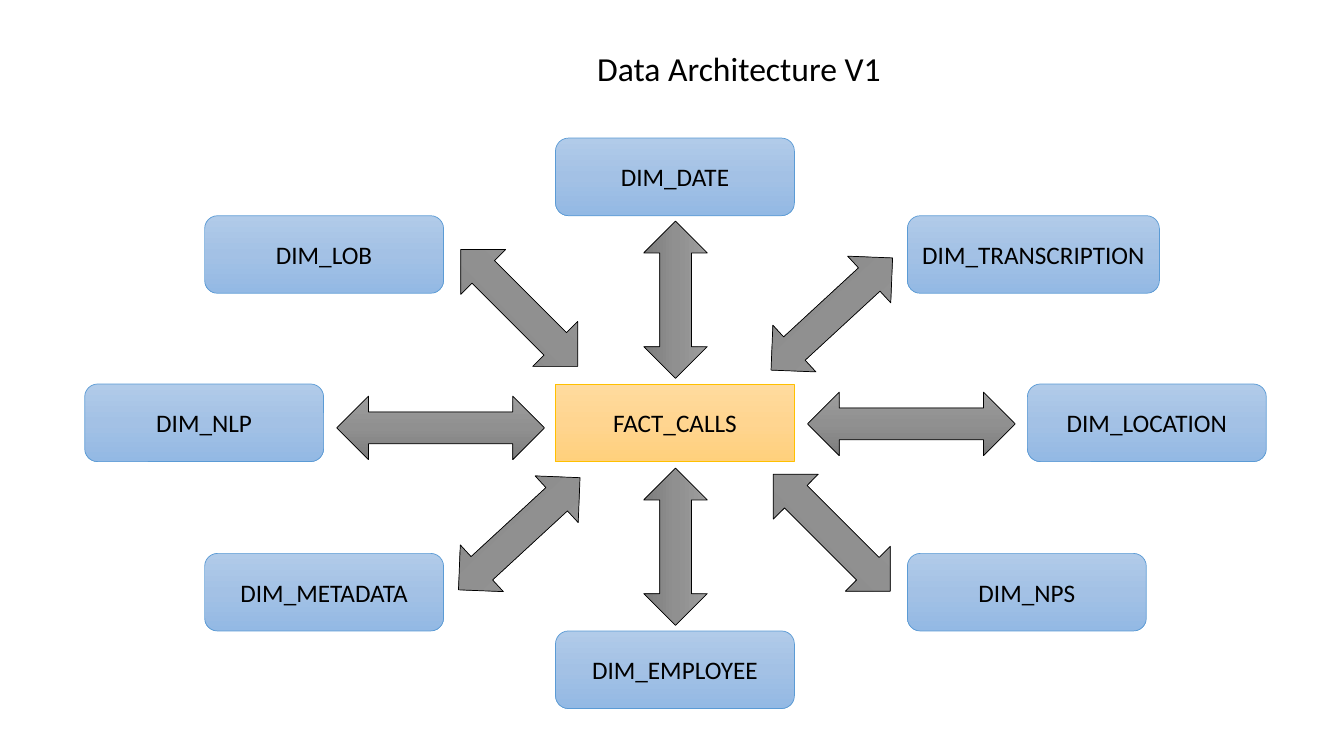
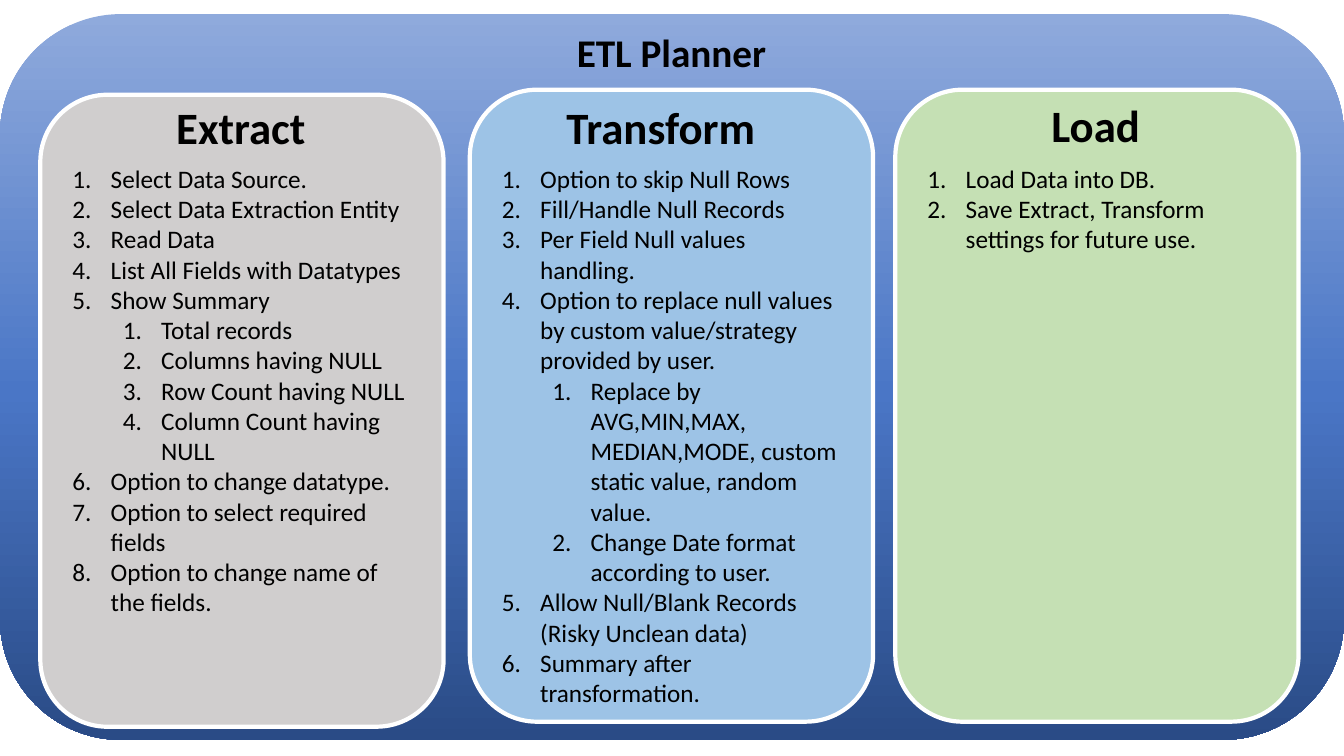
"""Build the data architecture and ETL planner slides."""
import copy

from lxml import etree
from pptx import Presentation
from pptx import util as u
from pptx.dml.color import RGBColor
from pptx.enum import shapes, text
from pptx.oxml import ns

PX = u.Inches(1) // 100
FONT = "Calibri"
BLACK = RGBColor(0x00, 0x00, 0x00)
WHITE = RGBColor(0xFF, 0xFF, 0xFF)
BLUE_LINE = RGBColor(0x5B, 0x9B, 0xD5)
GOLD_LINE = RGBColor(0xFF, 0xC0, 0x00)
GREY = RGBColor(0xD0, 0xCE, 0xCE)
BLUE = RGBColor(0x9D, 0xC3, 0xE6)
GREEN = RGBColor(0xC5, 0xE0, 0xB4)

BLUE_FADE = ((0, RGBColor(0xB1, 0xCB, 0xE9)), (0.5, RGBColor(0xA3, 0xC1, 0xE5)),
             (1, RGBColor(0x93, 0xB9, 0xE4)))
GOLD_FADE = ((0, RGBColor(0xFF, 0xDB, 0x9E)), (0.5, RGBColor(0xFF, 0xD5, 0x90)),
             (1, RGBColor(0xFF, 0xD0, 0x7C)))
GREY_FADE = ((0, RGBColor(0x9D, 0x9D, 0x9D)), (0.5, RGBColor(0x90, 0x90, 0x90)),
             (1, RGBColor(0x7C, 0x7C, 0x7C)))
NAVY_FADE = ((0, RGBColor(0x8F, 0xAA, 0xDC)), (0.52, RGBColor(0x4A, 0x76, 0xC6)),
             (1, RGBColor(0x2A, 0x4B, 0x86)))

RECT = shapes.MSO_SHAPE.RECTANGLE
ROUND = shapes.MSO_SHAPE.ROUNDED_RECTANGLE
ARROW = shapes.MSO_SHAPE.LEFT_RIGHT_ARROW

NODE_W, NODE_H, ARROW_H = 237, 77, 63
DIMENSIONS = (
    ("DIM_DATE", 551, 137, NODE_W),
    ("DIM_NLP", 84, 381, NODE_W),
    ("DIM_LOCATION", 1019, 381, NODE_W),
    ("DIM_LOB", 203, 214, NODE_W),
    ("DIM_TRANSCRIPTION", 900, 214, 250),
    ("DIM_EMPLOYEE", 551, 626, NODE_W),
    ("DIM_METADATA", 203, 549, NODE_W),
    ("DIM_NPS", 900, 549, NODE_W),
)
ARROWS = (
    (801, 389, 206, 0), (334, 393, 206, 0),
    (592, 266, 156, 90), (592, 511, 156, 90),
    (433, 498, 164, 137.3), (743, 280, 164, 137.3),
    (743, 497, 164, 45), (433, 274, 164, 45),
)

EXTRACT_STEPS = (
    (0, "Select Data Source."),
    (0, "Select Data Extraction Entity"),
    (0, "Read Data"),
    (0, "List All Fields with Datatypes"),
    (0, "Show Summary"),
    (1, "Total records"),
    (1, "Columns having NULL"),
    (1, "Row Count having NULL"),
    (1, "Column Count having NULL"),
    (0, "Option to change datatype."),
    (0, "Option to select required fields"),
    (0, "Option to change name of the fields."),
)
TRANSFORM_STEPS = (
    (0, "Option to skip Null Rows"),
    (0, "Fill/Handle Null Records"),
    (0, "Per Field Null values handling."),
    (0, "Option to replace null values by custom value/strategy provided by user."),
    (1, "Replace by AVG,MIN,MAX, MEDIAN,MODE, custom static value, random value."),
    (1, "Change Date format according to user."),
    (0, "Allow Null/Blank Records (Risky Unclean data)"),
    (0, "Summary after transformation."),
)
LOAD_STEPS = (
    (0, "Load Data into DB."),
    (0, "Save Extract, Transform settings for future use."),
)
PANEL_W, PANEL_H = 400, 627
PANELS = (
    ("Extract", (40, 94), (125, 0, 150), 63, 464, GREY, EXTRACT_STEPS),
    ("Transform", (466, 89), (86, 5, 209), 68, 555, BLUE, TRANSFORM_STEPS),
    ("Load", (888, 89), (145, 3, 109), 68, 101, GREEN, LOAD_STEPS),
)


def to_emu(box):
    """Turn px lengths into EMU."""
    return [length * PX for length in box]


def write_text(para, words, *, size=18, bold=False, align=None):
    """Add one formatted run to a paragraph."""
    para.alignment = align
    span = para.add_run()
    span.text = words
    span.font.name = FONT
    span.font.size = u.Pt(size)
    span.font.bold = bold
    span.font.color.rgb = BLACK


def fade_fill(shape, stops):
    """Fill a shape with a top-to-bottom gradient of three stops."""
    shape.fill.gradient()
    shape.fill.gradient_angle = 270
    stop_list = shape._element.spPr.find(".//" + ns.qn("a:gsLst"))
    stop_list.append(copy.deepcopy(stop_list[-1]))
    for stop, (position, color) in zip(shape.fill.gradient_stops, stops):
        stop.position = position
        stop.color.rgb = color


def add_block(page, kind, box, *, fade=None, fill=None, line=None, weight=0.5, label=None):
    """Add a preset shape with its fill, outline and centred label."""
    block = page.shapes.add_shape(kind, *to_emu(box))
    block.shadow.inherit = False
    if fade:
        fade_fill(block, fade)
    else:
        block.fill.solid()
        block.fill.fore_color.rgb = fill
    if line is None:
        block.line.fill.background()
    else:
        block.line.color.rgb = line
        block.line.width = u.Pt(weight)
    if label:
        block.text_frame.vertical_anchor = text.MSO_ANCHOR.MIDDLE
        write_text(block.text_frame.paragraphs[0], label, align=text.PP_ALIGN.CENTER)
    return block


def add_frame(page, box, *, wrap=True):
    """Add a growing text box and return its text frame."""
    frame = page.shapes.add_textbox(*to_emu(box)).text_frame
    frame.word_wrap = wrap
    frame.auto_size = text.MSO_AUTO_SIZE.SHAPE_TO_FIT_TEXT
    return frame


def add_title(page, words, box, *, wrap=True, **style):
    """Add a one-line title."""
    write_text(add_frame(page, box, wrap=wrap).paragraphs[0], words, **style)


def add_steps(page, box, steps):
    """Add a numbered list of two levels."""
    frame = add_frame(page, box)
    for index, (level, words) in enumerate(steps):
        para = frame.add_paragraph() if index else frame.paragraphs[0]
        para.level = level
        write_text(para, words)
        props = para._p.get_or_add_pPr()
        props.set("marL", str((38 + 50 * level) * PX))
        props.set("indent", str(-38 * PX))
        etree.SubElement(props, ns.qn("a:buFont"), typeface="+mj-lt")
        etree.SubElement(props, ns.qn("a:buAutoNum"), type="arabicPeriod")


def add_panel(page, name, origin, title, list_top, list_height, color, steps):
    """Add one planner column with its title and steps."""
    left, top = origin
    title_left, title_top, title_width = title
    add_block(page, ROUND, (left, top, PANEL_W, PANEL_H), fill=color, line=WHITE, weight=3)
    add_title(page, name, (left + title_left, top + title_top, title_width, 64),
              wrap=False, size=32, bold=True)
    add_steps(page, (left + 22, top + list_top, PANEL_W - 44, list_height), steps)


def build_architecture(page):
    """Draw the fact table, its dimensions and the arrows between them."""
    add_block(page, RECT, (551, 381, NODE_W, NODE_H), fade=GOLD_FADE, line=GOLD_LINE,
              label="FACT_CALLS")
    for name, left, top, width in DIMENSIONS:
        add_block(page, ROUND, (left, top, width, NODE_H), fade=BLUE_FADE,
                  line=BLUE_LINE, label=name)
    for left, top, width, angle in ARROWS:
        arrow = add_block(page, ARROW, (left, top, width, ARROW_H), fade=GREY_FADE, line=BLACK)
        arrow.rotation = angle
    add_title(page, "Data Architecture V1", (566, 43, 334, 50), size=24,
              align=text.PP_ALIGN.CENTER)


def build_planner(page):
    """Draw the planner backdrop, its three columns and the heading."""
    add_block(page, ROUND, (0, 14, 1333, 720), fade=NAVY_FADE)
    for panel in PANELS:
        add_panel(page, *panel)
    add_title(page, "ETL Planner", (561, 23, 210, 57), wrap=False, size=28, bold=True,
              align=text.PP_ALIGN.CENTER)


def main():
    """Build and save the deck."""
    deck = Presentation()
    deck.slide_width, deck.slide_height = to_emu((1333, 750))
    for build in (build_architecture, build_planner):
        build(deck.slides.add_slide(deck.slide_layouts[6]))
    deck.save("out.pptx")


if __name__ == "__main__":
    main()
